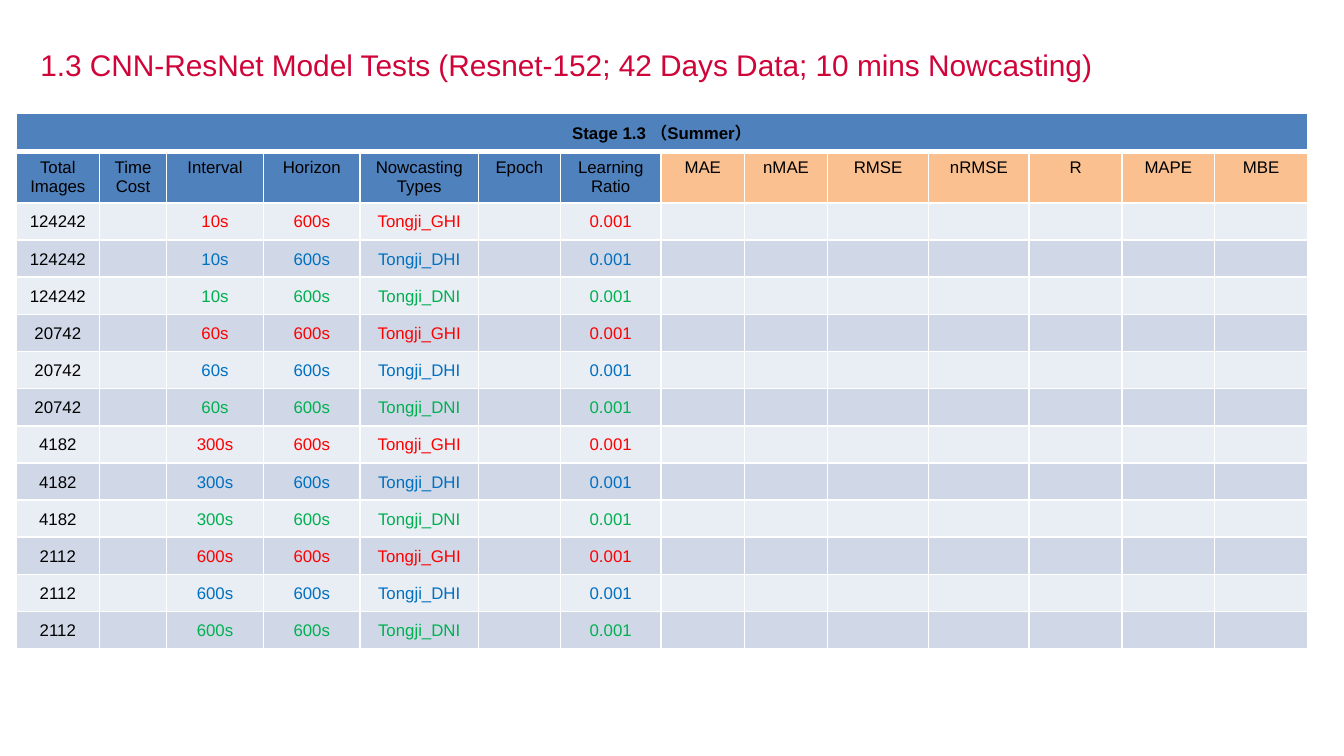
import pptx
import pptx.util
import pptx.dml.color
import pptx.enum.text
import pptx.oxml.ns
from lxml import etree

Inches, Pt = pptx.util.Inches, pptx.util.Pt
RGB = pptx.dml.color.RGBColor.from_string
ANCHOR = pptx.enum.text.MSO_ANCHOR
ALIGN = pptx.enum.text.PP_ALIGN
qn = pptx.oxml.ns.qn

# Content
TITLE = "1.3 CNN-ResNet Model Tests (Resnet-152; 42 Days Data; 10 mins Nowcasting)"
BANNER = "Stage 1.3 （Summer）"
COLUMNS = [  # heading, width in inches
    ("Total\nImages", 0.62), ("Time Cost", 0.5), ("Interval", 0.72),
    ("Horizon", 0.72), ("Nowcasting\nTypes", 0.88), ("Epoch", 0.61),
    ("Learning Ratio", 0.75), ("MAE", 0.62), ("nMAE", 0.62), ("RMSE", 0.75),
    ("nRMSE", 0.75), ("R", 0.69), ("MAPE", 0.69), ("MBE", 0.69),
]
FIRST_METRIC = 7
SAMPLES = [("124242", "10s"), ("20742", "60s"), ("4182", "300s"), ("2112", "600s")]
HORIZON, LEARNING_RATIO = "600s", "0.001"
TYPES = [("Tongji_GHI", "FF0000"), ("Tongji_DHI", "0070C0"), ("Tongji_DNI", "00B050")]

THEME = {
    "font": "Arial", "title_size": 16, "table_size": 9,
    "title": "D00439", "text": "000000", "border": "FFFFFF",
    "header": "4F81BD", "metric": "FAC090", "bands": ("E9EDF4", "D0D8E8"),
}
BANNER_HEIGHT, HEADING_HEIGHT, BODY_HEIGHT = 0.29, 0.38, 3.32


def style_text(frame, size, color, bold=False, align=ALIGN.CENTER):
    for para in frame.paragraphs:
        para.alignment = align
        for span in para.runs:
            span.font.name = THEME["font"]
            span.font.size = Pt(size)
            span.font.bold = bold
            span.font.color.rgb = RGB(color)
        if not para.runs:  # keeps an empty cell from growing its row
            etree.SubElement(para._p, qn("a:endParaRPr"), sz=str(size * 100))


def set_borders(cell, top=1, bottom=1):
    properties = cell._tc.get_or_add_tcPr()
    for side, width in (("L", 1), ("R", 1), ("T", top), ("B", bottom)):
        line = etree.SubElement(properties, qn("a:ln" + side), w=str(Pt(width)))
        fill = etree.SubElement(line, qn("a:solidFill"))
        etree.SubElement(fill, qn("a:srgbClr"), val=THEME["border"])


def fill_cell(cell, text, fill, color=THEME["text"], bold=False,
              anchor=ANCHOR.TOP, top=1, bottom=1):
    cell.margin_left = cell.margin_right = Inches(0.05)
    cell.margin_top, cell.margin_bottom = Inches(0.05), Inches(0.04)
    cell.vertical_anchor = anchor
    set_borders(cell, top, bottom)
    cell.fill.solid()
    cell.fill.fore_color.rgb = RGB(fill)
    cell.text_frame.text = text
    style_text(cell.text_frame, THEME["table_size"], color, bold)


# Widescreen page, 16:9
deck = pptx.Presentation()
deck.slide_width = Inches(10)
deck.slide_height = deck.slide_width * 9 // 16
page = deck.slides.add_slide(deck.slide_layouts[5])

# Title
title = page.shapes.title
title.left, title.top = Inches(0.2), Inches(0.3)
title.width, title.height = Inches(8.19), Inches(0.46)
frame = title.text_frame
frame.text = TITLE
frame.word_wrap = True
frame.auto_size = pptx.enum.text.MSO_AUTO_SIZE.NONE
frame.vertical_anchor = ANCHOR.TOP
frame.margin_top = Inches(0.05)
style_text(frame, THEME["title_size"], THEME["title"], align=ALIGN.LEFT)

# Table grid
body = [(total, interval, kind, color)
        for total, interval in SAMPLES for kind, color in TYPES]
heights = [BANNER_HEIGHT, HEADING_HEIGHT] + [BODY_HEIGHT / len(body)] * len(body)
table = page.shapes.add_table(
    len(heights), len(COLUMNS), Inches(0.12), Inches(0.84),
    Inches(sum(width for _, width in COLUMNS)), Inches(sum(heights))).table
for row, height in zip(table.rows, heights):
    row.height = Inches(height)
for column, (_, width) in zip(table.columns, COLUMNS):
    column.width = Inches(width)

# Banner and column headings
for index, (heading, _) in enumerate(COLUMNS):
    fill_cell(table.cell(0, index), BANNER if index == 0 else "",
              THEME["header"], bold=True, bottom=3)
    fill = THEME["header"] if index < FIRST_METRIC else THEME["metric"]
    fill_cell(table.cell(1, index), heading, fill, top=3)
table.cell(0, 0).merge(table.cell(0, len(COLUMNS) - 1))

# Test rows
for index, (total, interval, kind, color) in enumerate(body):
    values = [total, "", interval, HORIZON, kind, "", LEARNING_RATIO]
    values += [""] * (len(COLUMNS) - len(values))
    for column, value in enumerate(values):
        fill_cell(table.cell(index + 2, column), value, THEME["bands"][index % 2],
                  THEME["text"] if column == 0 else color, anchor=ANCHOR.MIDDLE)

deck.save("out.pptx")
